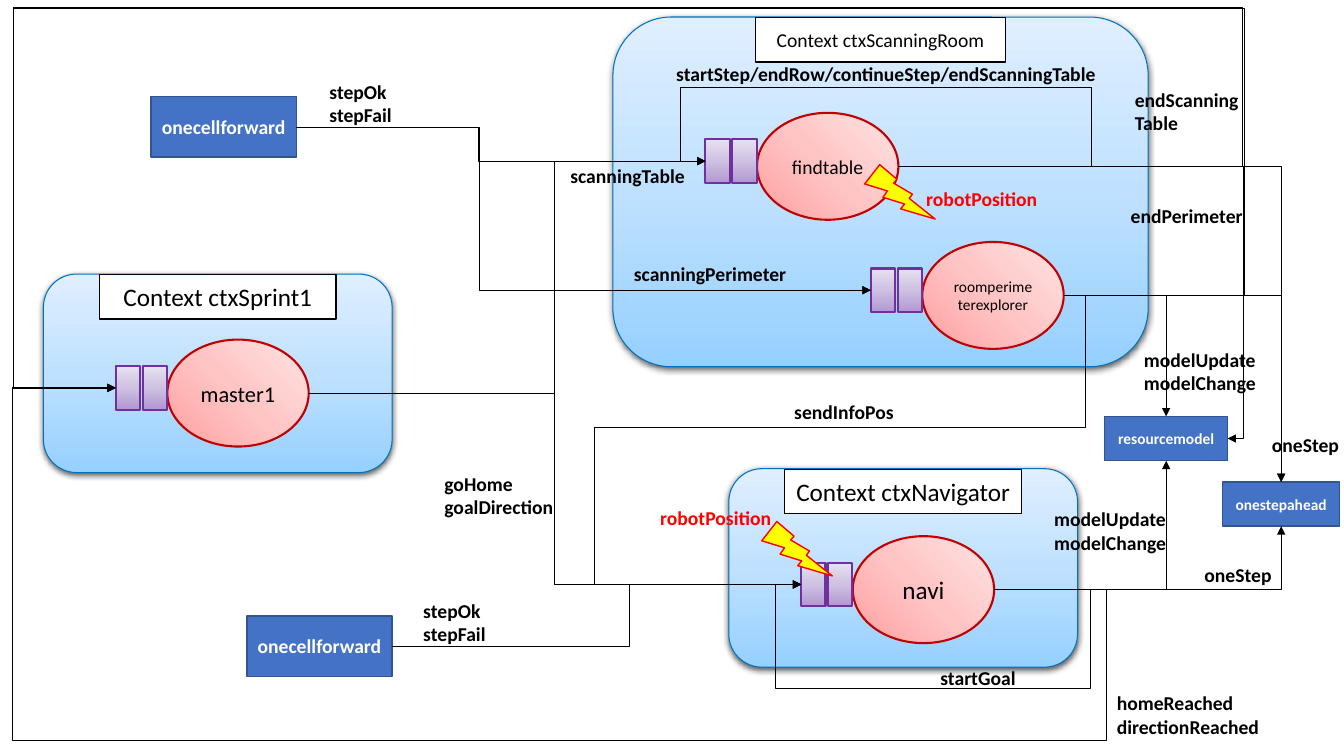
from dataclasses import dataclass

from lxml.etree import SubElement
from pptx import Presentation
from pptx.dml.color import RGBColor
from pptx.enum.shapes import MSO_CONNECTOR, MSO_SHAPE
from pptx.enum.text import MSO_ANCHOR, PP_ALIGN
from pptx.oxml import parse_xml
from pptx.oxml.ns import nsdecls, qn
from pptx.util import Pt


@dataclass(frozen=True)
class Theme:
    font: str = "Calibri"
    black: str = "000000"
    white: str = "FFFFFF"
    red: str = "FF0000"
    yellow: str = "FFFF00"
    node: str = "4472C4"
    node_line: str = "325491"
    context: tuple = ("96D0FF", "BFE1FF", "E0EFFF")
    context_line: str = "0070C0"
    actor: tuple = ("FFA0A0", "FFC5C5", "FFE3E3")
    actor_line: str = "C00000"
    queue: tuple = ("B197D2", "CEC1E2", "E7E1F0")
    queue_line: str = "7030A0"
    large: int = 18
    medium: int = 16
    normal: int = 14
    small: int = 11


theme = Theme()
LINEAR = '<a:lin ang="16200000" scaled="0"/>'
RADIAL = '<a:path path="circle"><a:fillToRect t="100000" r="100000"/></a:path>'
SHADOW = (f'<a:effectLst {nsdecls("a")}><a:outerShdw blurRad="57150" dist="19050" dir="5400000" '
          'algn="ctr" rotWithShape="0"><a:srgbClr val="000000"><a:alpha val="63000"/></a:srgbClr>'
          '</a:outerShdw></a:effectLst>')

presentation = Presentation()
presentation.slide_width, presentation.slide_height = Pt(960), Pt(540)
slide = presentation.slides.add_slide(presentation.slide_layouts[6])


def add_box(text, bounds, parent=slide.shapes, kind=None, fill=None, gradient=LINEAR,
            line=None, line_width=1, size=theme.normal, color=theme.black, bold=False):
    lengths = [Pt(value) for value in bounds]
    if kind is None:
        shape = parent.add_textbox(*lengths)
        shape.text_frame.margin_right = 0
    else:
        shape = parent.add_shape(kind, *lengths)
        shape.shadow.inherit = False
        shape.line.color.rgb = RGBColor.from_string(line)
        shape.line.width = Pt(line_width)
        shape.text_frame.vertical_anchor = MSO_ANCHOR.MIDDLE
        if isinstance(fill, tuple):
            stops = "".join(f'<a:gs pos="{index * 50000}"><a:srgbClr val="{stop}"/></a:gs>'
                            for index, stop in enumerate(fill))
            geometry = shape.element.spPr.find(qn("a:prstGeom"))
            geometry.addnext(parse_xml(f'<a:gradFill {nsdecls("a")} rotWithShape="1">'
                                       f'<a:gsLst>{stops}</a:gsLst>{gradient}</a:gradFill>'))
        else:
            shape.fill.solid()
            shape.fill.fore_color.rgb = RGBColor.from_string(fill)
    shape.text_frame.word_wrap = True
    shape.text_frame.text = text
    for paragraph in shape.text_frame.paragraphs:
        paragraph.alignment = PP_ALIGN.LEFT if kind is None else PP_ALIGN.CENTER
        paragraph.font.name = theme.font
        paragraph.font.size = Pt(size)
        paragraph.font.bold = bold
        paragraph.font.color.rgb = RGBColor.from_string(color)
    return shape


def connect(start, end, *bends):
    connector = slide.shapes.add_connector(MSO_CONNECTOR.ELBOW, *map(Pt, start + end))
    connector.line.color.rgb = RGBColor.from_string(theme.black)
    connector.line.width = Pt(0.5)
    properties = connector.element.spPr
    SubElement(properties.find(qn("a:ln")), qn("a:tailEnd"), type="triangle")
    SubElement(properties, qn("a:effectLst"))
    geometry = properties.find(qn("a:prstGeom"))
    geometry.set("prst", f"bentConnector{len(bends) + 2}")
    guides = geometry.find(qn("a:avLst"))
    for index, bend in enumerate(bends):
        axis = index % 2
        ratio = (bend - start[axis]) / (end[axis] - start[axis])
        SubElement(guides, qn("a:gd"), name=f"adj{index + 1}" if len(bends) > 1 else "adj1",
                   fmla=f"val {round(ratio * 100000)}")


contexts = [
    ("Context ctxNavigator", theme.large, (520.6, 334.8, 249.1, 141.8), 169.2,
     [("navi", theme.large, 609.1, 383)]),
    ("Context ctxScanningRoom", theme.normal, (437.8, 12.2, 382.3, 249.8), 178.6,
     [("findtable", theme.normal, 540.7, 80.6),
      ("roomperimeterexplorer", theme.small, 658.8, 172.8)]),
    ("Context ctxSprint1", theme.large, (31, 195.8, 249.1, 141.8), 169.2,
     [("master1", theme.medium, 119.5, 242.6)]),
]
inlets, outlets = {}, {}
for title, title_size, bounds, title_width, actors in contexts:
    parent = slide.shapes.add_group_shape().shapes
    left, top, width, height = bounds
    panel = add_box("", bounds, parent, MSO_SHAPE.ROUNDED_RECTANGLE, theme.context,
                    line=theme.context_line, line_width=0.75)
    panel.element.spPr.replace(panel.element.spPr.find(qn("a:effectLst")), parse_xml(SHADOW))
    add_box(title, (left + (width - title_width) / 2, top + 0.4, title_width, 31.7), parent,
            MSO_SHAPE.RECTANGLE, theme.white, line=theme.black, size=title_size)
    for name, size, actor_left, actor_top in actors:
        add_box(name, (actor_left, actor_top, 101, 76.4), parent, MSO_SHAPE.OVAL, theme.actor,
                RADIAL, theme.actor_line, 1.5, size)
        for offset in (17.6, 36.8):
            add_box("", (actor_left - offset, actor_top + 19, 17.4, 31), parent,
                    MSO_SHAPE.RECTANGLE, theme.queue, line=theme.queue_line, line_width=1.5)
        inlets[name] = (actor_left - 36.8, actor_top + 34.5)
        outlets[name] = (actor_left + 101, actor_top + 38.2)

nodes = [
    ("onecellforward", theme.normal, (108, 69.1, 103.7, 43.2)),
    ("onecellforward", theme.normal, (176.4, 439.9, 103.7, 43.2)),
    ("resourcemodel", theme.small, (789.1, 297.4, 87.8, 31.7)),
    ("onestepahead", theme.small, (873.4, 344.2, 83.5, 31.7)),
]
ports = []
for name, size, bounds in nodes:
    add_box(name, bounds, kind=MSO_SHAPE.RECTANGLE, fill=theme.node, line=theme.node_line,
            size=size, color=theme.white, bold=True)
    left, top, width, height = bounds
    ports.append({"top": (left + width / 2, top), "bottom": (left + width / 2, top + height),
                  "right": (left + width, top + height / 2)})
upper_forward, lower_forward, resource, step_ahead = ports

master, navi, finder, explorer = "master1", "navi", "findtable", "roomperimeterexplorer"
for target in (explorer, finder, navi):
    connect(outlets[master], inlets[target], 396)
for target in (explorer, finder):
    connect(upper_forward["right"], inlets[target], 342)
connect(lower_forward["right"], inlets[navi], 449.3)
connect(outlets[explorer], inlets[master], 889.2, 5.8, 9.4)
connect(outlets[finder], inlets[master], 887.8, 5, 9.4)
connect(outlets[navi], inlets[master], 790.6, 528.5, 8.8)
connect(outlets[navi], inlets[navi], 779, 491.8, 553.7)
connect(outlets[explorer], inlets[navi], 775.4, 305.3, 424.8)
connect(outlets[finder], inlets[finder], 779.8, 62.6, 486)
connect(outlets[finder], resource["right"], 888.5)
connect(outlets[explorer], resource["top"])
connect(outlets[navi], resource["bottom"])
connect(outlets[explorer], step_ahead["top"])
connect(outlets[finder], step_ahead["top"])
connect(outlets[navi], step_ahead["bottom"])

for left, top in [(548.6, 369.4), (622.1, 114.5)]:
    bolt = add_box("", (left, top, 38.2, 50.4), kind=MSO_SHAPE.LIGHTNING_BOLT,
                   fill=theme.yellow, line=theme.red)
    bolt.rotation = 339.2

labels = [
    ("scanningTable", 400.3, 113.8, 140), ("endPerimeter", 800.6, 141.8, 96),
    ("scanningPerimeter", 445.7, 183.6, 140), ("endScanning\nTable", 803.5, 59, 140),
    ("goHome\ngoalDirection", 310.3, 333.4, 140),
    ("homeReached\ndirectionReached", 790.6, 490.3, 140),
    ("modelUpdate\nmodelChange", 745.9, 358.6, 140),
    ("modelUpdate\nmodelChange", 810, 244.8, 97),
    ("stepOk\nstepFail", 295.2, 424.1, 65), ("stepOk\nstepFail", 228.2, 53.3, 140),
    ("startGoal", 664.6, 472.3, 140), ("sendInfoPos", 560.2, 282.2, 140),
    ("startStep/endRow/continueStep/endScanningTable", 475.9, 41, 327),
    ("oneStep", 901.4, 306, 58), ("oneStep", 853.2, 398.2, 96),
    ("robotPosition", 464.4, 357.8, 140), ("robotPosition", 654.5, 130.3, 96),
]
for text, left, top, width in labels:
    height = 41 if "\n" in text else 24.5
    color = theme.red if text == "robotPosition" else theme.black
    add_box(text, (left, top, width, height), color=color, bold=True)

presentation.save("out.pptx")
